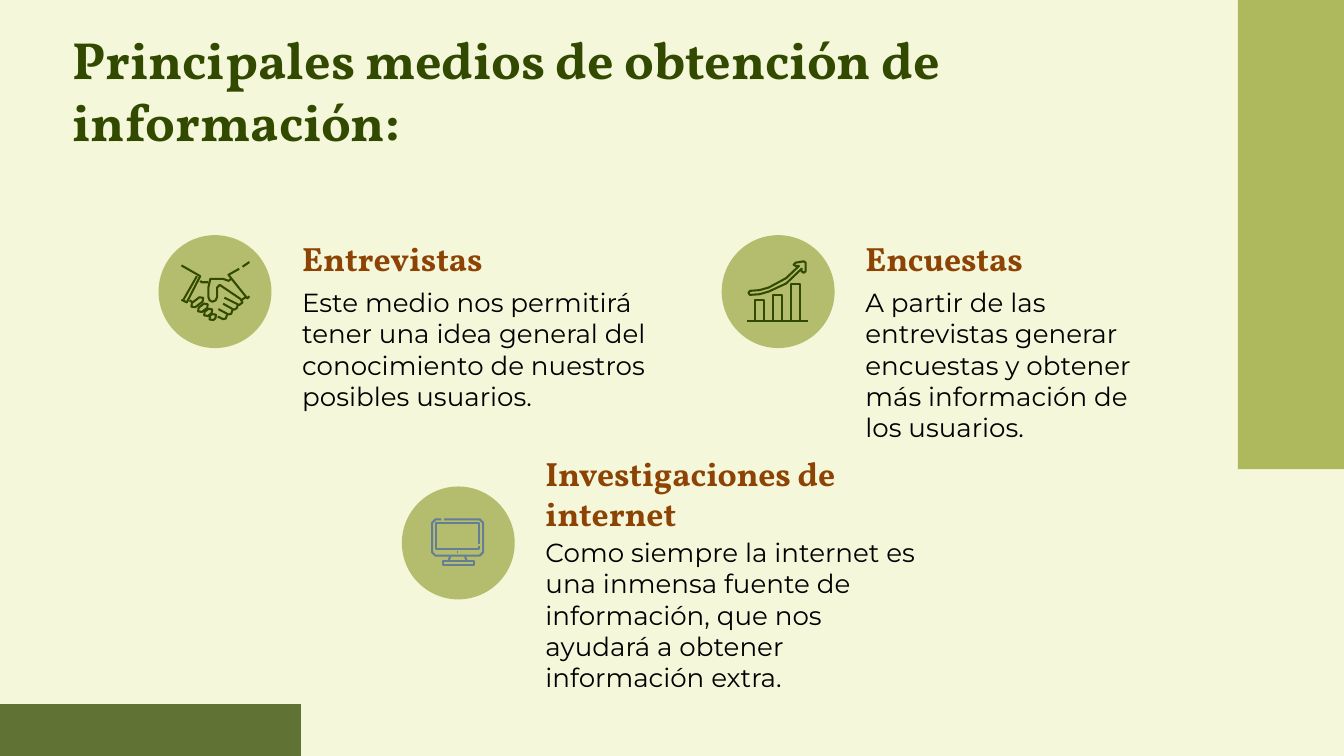
from lxml.etree import SubElement
from pptx import Presentation
from pptx.dml.color import RGBColor
from pptx.enum.shapes import MSO_SHAPE
from pptx.enum.text import MSO_ANCHOR
from pptx.oxml.ns import qn
from pptx.util import Inches, Pt

THEME = {
    "back": "F4F7DA", "dark": "324A00", "lime": "7C8C03",
    "disc": "B4BD6E", "blue": "657E93", "stroke": 1.1,
    "title": {"name": "Vollkorn", "size": 28, "bold": True, "color": "324A00"},
    "head": {"name": "Vollkorn", "size": 18, "bold": True, "color": "8C4303"},
    "body": {"name": "Montserrat", "size": 14, "bold": False, "color": "000000"},
}
WIDE = 10
HIGH = WIDE * 9 / 16
CELL = WIDE / 100
DISC, SIDE = 8.4, 9.7

TITLE = ("Principales medios de obtención de información:", (4.4, 1, 87.7, 10.9))
BANDS = [
    ((0, 52.4, 22.4, 3.85), "dark", 76),
    ((92.1, 0, 7.9, 34.9), "lime", 58),
]
CARDS = [
    {"at": (11.8, 17.5), "icon": "hands", "ink": "dark",
     "head": ("Entrevistas", -0.8, 24.2, 10),
     "body": ("Este medio nos permitirá tener una idea general del "
              "conocimiento de nuestros posibles usuarios.", 2.8, 31, 6.4)},
    {"at": (53.7, 17.5), "icon": "chart", "ink": "dark",
     "head": ("Encuestas", -0.8, 24.2, 5.2),
     "body": ("A partir de las entrevistas generar encuestas y obtener "
              "más información de los usuarios.", 2.8, 24.2, 6.4)},
    {"at": (29.9, 36.2), "icon": "screen", "ink": "blue",
     "head": ("Investigaciones de internet", -3.5, 24.2, 7.3),
     "body": ("Como siempre la internet es una inmensa fuente de información, "
              "que nos ayudará a obtener información extra.", 2.7, 30.5, 14.8)},
]


def bar(x, y, w, h):
    return [(x, y), (x + w, y), (x + w, y + h), (x, y + h), (x, y)]


def pill(x, y, run):
    dx, dy = run * 0.8, -run * 0.6
    rim = [(1.2, 1.6), (-1.6, 1.2), (-1.2, -1.6)]
    return ([(x + a, y + b) for a, b in rim]
            + [(x + dx - a, y + dy - b) for a, b in rim] + [(x + 1.2, y + 1.6)])


ICONS = {
    "hands": [
        [(17, 22.5), (31, 30.5), (21, 50), (17, 48)],
        [(28.5, 30.5), (18.5, 48)],
        [(60, 25), (52, 29.5), (66, 47), (67.5, 45.5)],
        [(62.5, 23.5), (67.5, 20)],
        [(54, 32.5), (52, 34), (48, 32.5), (38.5, 32.5), (37, 39), (37, 46),
         (38, 48.5), (40, 49.5), (42.5, 48.5), (43.5, 46), (43.5, 39),
         (45.5, 37), (61, 47.5), (62.5, 50), (60, 52), (49, 46.5)],
        [(31, 34), (32, 35), (37, 35)],
        [(23, 48.5), (25.5, 50)],
        [(62, 48), (65, 46)],
        [(59, 52), (58, 54.5), (56, 55.5), (48, 51)],
        [(55, 55.5), (54, 58.5), (52, 59), (44.5, 55)],
        [(51, 59), (50, 62), (48, 62.5), (44, 60.5)],
        pill(26, 52, 7), pill(31, 55.5, 5), pill(35.5, 58.5, 3.5), pill(39.5, 61.5, 2),
    ],
    "chart": [
        [(19, 64), (64, 64)],
        *[bar(x, y, 7, 64 - y) for x, y in [(24.5, 48.5), (38, 44.5), (51.5, 36.5)]],
        [(21, 41.5), (28, 41), (35, 39), (48, 32), (57.5, 23), (55, 23),
         (53.5, 22), (55, 20.5), (61, 19.5), (62.5, 20.5), (62.5, 27),
         (61, 28), (59.5, 27), (59.5, 25), (48, 36), (35, 42), (28, 44),
         (21, 44.5), (20, 43), (21, 41.5)],
    ],
    "screen": [
        [(31.5, 24.5), (58, 24.5), (60.5, 27), (60.5, 49), (58, 51.5),
         (25, 51.5), (22.5, 49), (22.5, 27), (25, 24.5), (29.5, 24.5)],
        [(57.5, 42.5), (57.5, 27.5), (25.5, 27.5), (25.5, 46.5), (57.5, 46.5), (57.5, 44)],
        [(36, 52), (34.5, 56)], [(47, 52), (48.5, 56)],
        bar(30.5, 55.5, 23, 3),
        [(41, 48.5), (42, 48.5)],
    ],
}


def grid(*cells):
    return [Inches(c * CELL) for c in cells]


def ink(key):
    return RGBColor.from_string(THEME.get(key, key))


def block(slide, kind, box, key, alpha=100):
    shape = slide.shapes.add_shape(kind, *grid(*box))
    shape.shadow.inherit = False
    shape.fill.solid()
    shape.fill.fore_color.rgb = ink(key)
    shape.line.fill.background()
    if alpha < 100:
        tone = shape.fill._xPr.find(qn("a:solidFill"))[0]
        SubElement(tone, qn("a:alpha"), val=str(alpha * 1000))


def write(slide, text, box, style):
    frame = slide.shapes.add_textbox(*grid(*box)).text_frame
    pad = Inches(0.1)
    form = {"word_wrap": True, "vertical_anchor": MSO_ANCHOR.TOP, "margin_left": pad,
            "margin_right": pad, "margin_top": pad, "margin_bottom": pad}
    for key, val in form.items():
        setattr(frame, key, val)
    run = frame.paragraphs[0].add_run()
    run.text = text
    look = dict(THEME[style])
    run.font.color.rgb = ink(look.pop("color"))
    look["size"] = Pt(look["size"])
    for key, val in look.items():
        setattr(run.font, key, val)


def draw(slide, lines, at, key):
    left, top = at
    paths = [[grid(left + x / 10, top + y / 10) for x, y in line] for line in lines]
    pen = slide.shapes.build_freeform(*paths[0][0])
    for line in paths:
        pen.move_to(*line[0])
        pen.add_line_segments(line[1:], close=False)
    shape = pen.convert_to_shape()
    shape.shadow.inherit = False
    shape.fill.background()
    shape.line.color.rgb = ink(key)
    shape.line.width = Pt(THEME["stroke"])


def main():
    deck = Presentation()
    deck.slide_width, deck.slide_height = Inches(WIDE), Inches(HIGH)
    slide = deck.slides.add_slide(deck.slide_layouts[6])
    slide.background.fill.solid()
    slide.background.fill.fore_color.rgb = ink("back")
    for box, key, alpha in BANDS:
        block(slide, MSO_SHAPE.RECTANGLE, box, key, alpha)
    write(slide, *TITLE, "title")
    for card in CARDS:
        left, top = card["at"]
        block(slide, MSO_SHAPE.OVAL, (left, top, DISC, DISC), "disc")
        draw(slide, ICONS[card["icon"]], card["at"], card["ink"])
        for style in ("head", "body"):
            text, drop, wide, high = card[style]
            write(slide, text, (left + SIDE, top + drop, wide, high), style)
    deck.save("out.pptx")


if __name__ == "__main__":
    main()
